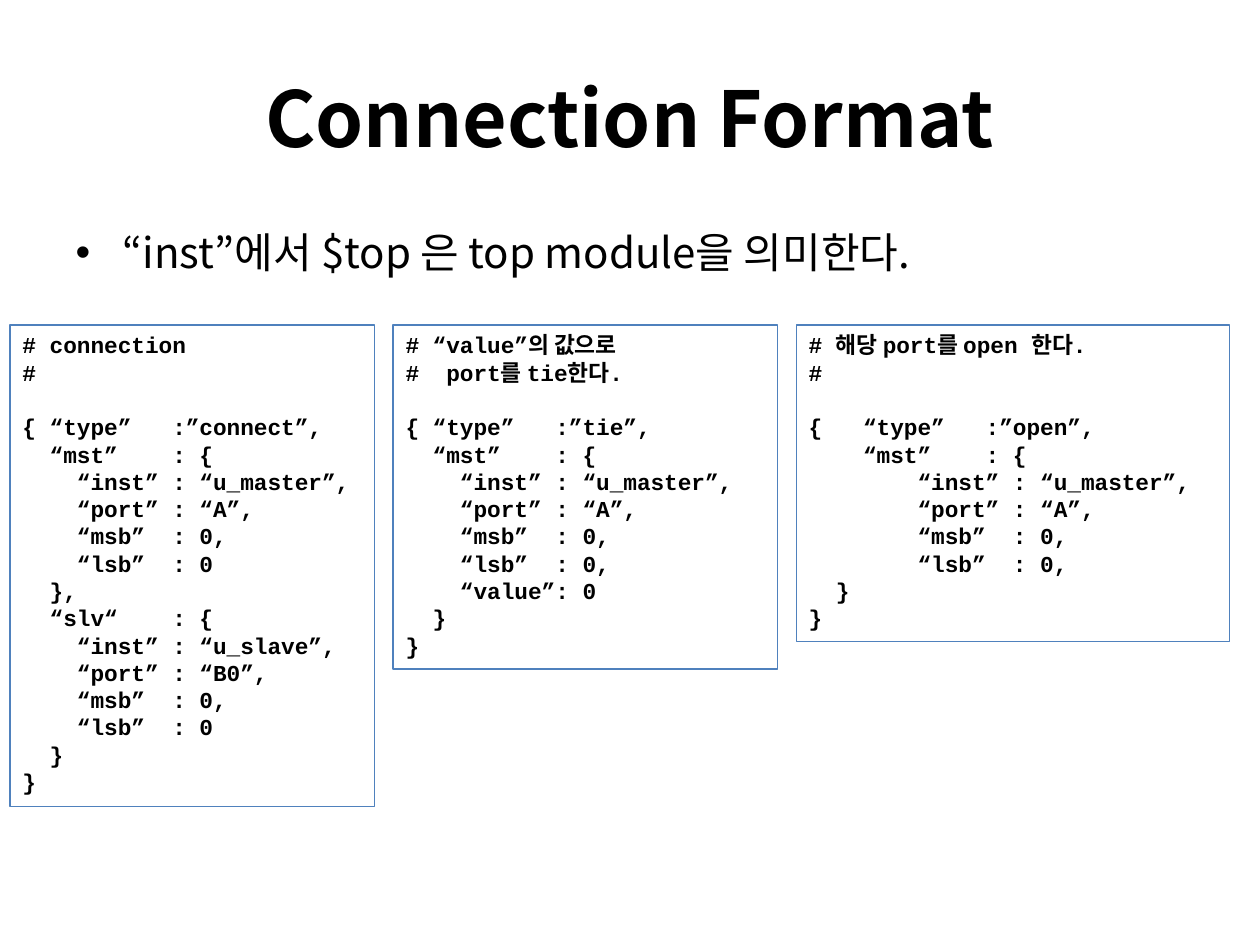
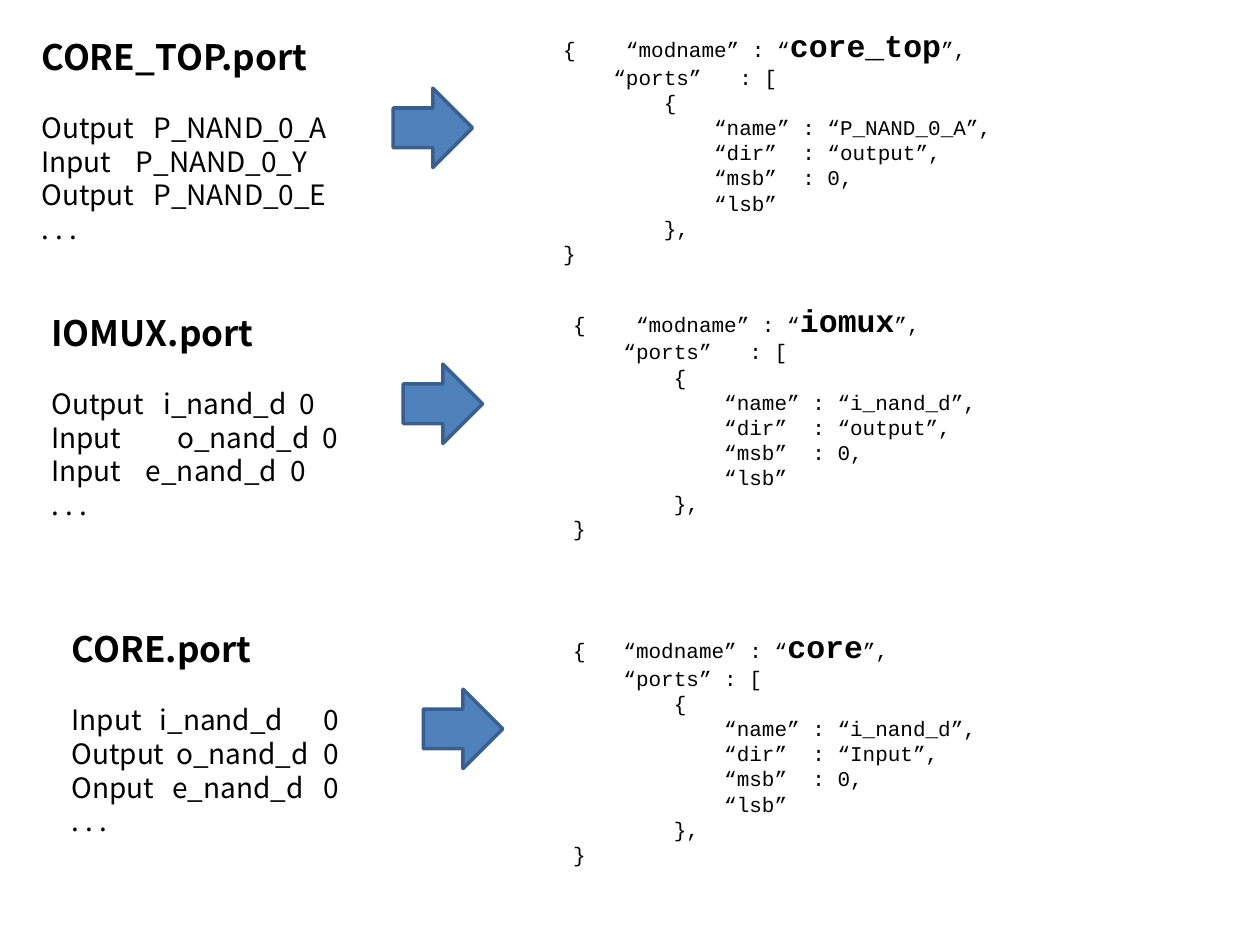
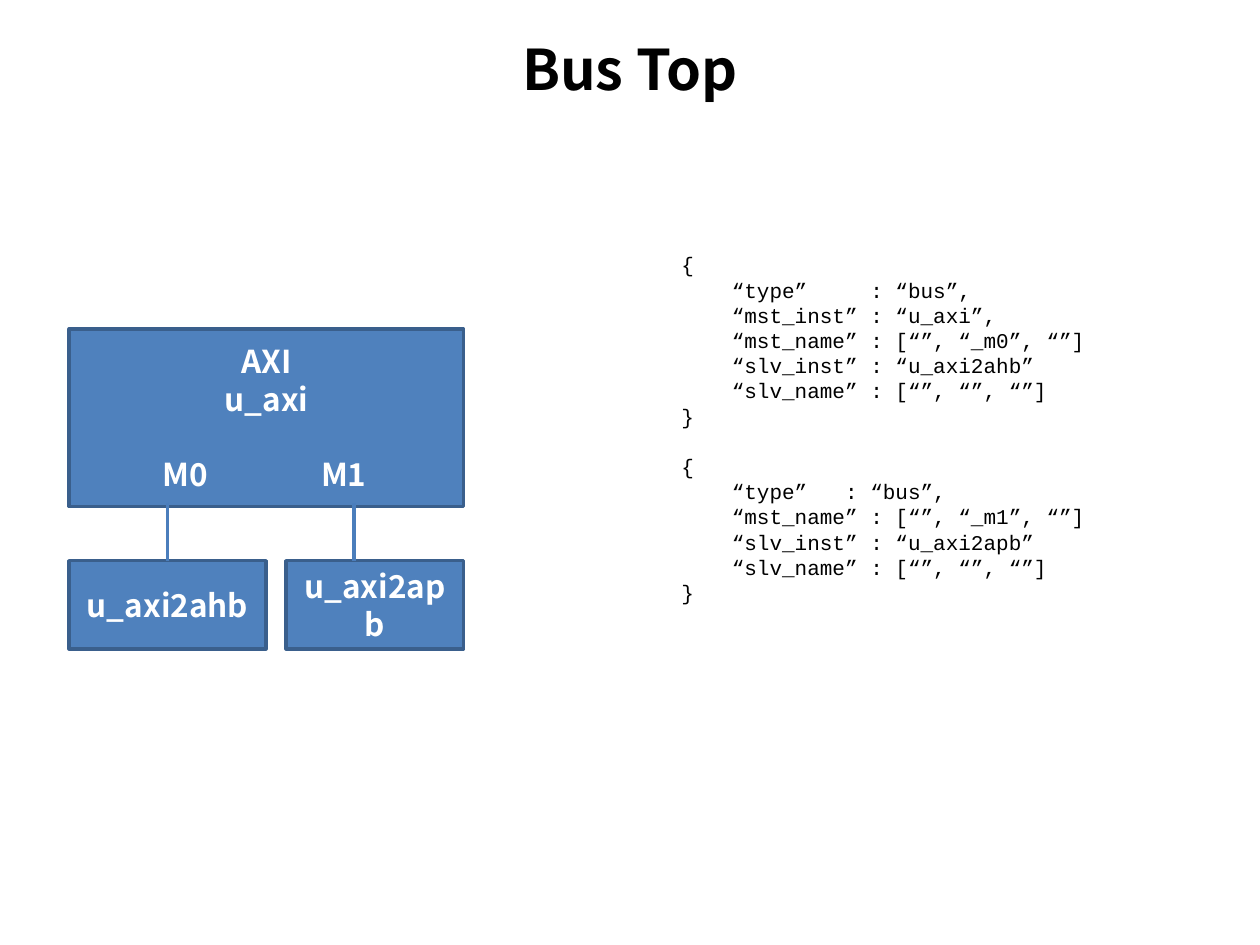
import pptx
import pptx.dml.color
import pptx.enum.shapes
import pptx.enum.text
import pptx.oxml.ns
import pptx.util
from lxml import etree

Inches = pptx.util.Inches
Pt = pptx.util.Pt
RGBColor = pptx.dml.color.RGBColor
Shape = pptx.enum.shapes.MSO_SHAPE
Align = pptx.enum.text.PP_ALIGN
Anchor = pptx.enum.text.MSO_ANCHOR
AutoSize = pptx.enum.text.MSO_AUTO_SIZE
qn = pptx.oxml.ns.qn

BLACK = RGBColor(0x00, 0x00, 0x00)
WHITE = RGBColor(0xFF, 0xFF, 0xFF)
BLUE = RGBColor(0x4F, 0x81, 0xBD)
DARK_BLUE = RGBColor(0x3A, 0x5F, 0x8C)
WIRE_BLUE = RGBColor(0x4B, 0x7E, 0xBC)

SANS = "Noto Sans CJK KR"
MONO = "Courier New"
LINE_HEIGHT = 1.2

CONNECT_CODE = """# connection
#

{ “type”   :”connect”,
  “mst”    : {
    “inst” : “u_master”,
    “port” : “A”,
    “msb”  : 0,
    “lsb”  : 0
  },
  “slv“    : {
    “inst” : “u_slave”,
    “port” : “B0”,
    “msb”  : 0,
    “lsb”  : 0
  }
}"""

TIE_CODE = """# “value”의 값으로
#  port를 tie한다.

{ “type”   :”tie”,
  “mst”    : {
    “inst” : “u_master”,
    “port” : “A”,
    “msb”  : 0,
    “lsb”  : 0,
    “value”: 0
  }
}"""

OPEN_CODE = """# 해당 port를 open 한다.
#

{   “type”   :”open”,
    “mst”    : {
        “inst” : “u_master”,
        “port” : “A”,
        “msb”  : 0,
        “lsb”  : 0,
  }
}"""

BUS_CODE = """{
    “type”     : “bus”,
    “mst_inst” : “u_axi”,
    “mst_name” : [“”, “_m0”, “”]
    “slv_inst” : “u_axi2ahb”
    “slv_name” : [“”, “”, “”]
}

{
    “type”   : “bus”,
    “mst_name” : [“”, “_m1”, “”]
    “slv_inst” : “u_axi2apb”
    “slv_name” : [“”, “”, “”]
}"""


def style(paragraph, font_name, size, color=BLACK, bold=False, align=None):
    font = paragraph.font
    font.name, font.size, font.bold = font_name, Pt(size), bold
    font.color.rgb = color
    defaults = paragraph._p.pPr.find(qn("a:defRPr"))
    defaults.find(qn("a:latin")).addnext(
        etree.Element(qn("a:ea"), typeface=SANS))
    paragraph.line_spacing = Pt(size * LINE_HEIGHT)
    if align is not None:
        paragraph.alignment = align


def set_tabs(paragraph, stops, align="l"):
    tab_list = etree.SubElement(paragraph._p.get_or_add_pPr(), qn("a:tabLst"))
    for stop in stops:
        etree.SubElement(tab_list, qn("a:tab"), pos=str(Inches(stop)), algn=align)


def next_paragraph(frame):
    first = frame.paragraphs[0]
    return frame.add_paragraph() if first.runs else first


def add_run(paragraph, text):
    run = paragraph.add_run()
    run.text = text
    return run


def add_code(frame, code, size, bold=False):
    gap = 0
    for line in code.split("\n"):
        if not line:
            gap = size * LINE_HEIGHT
            continue
        paragraph = next_paragraph(frame)
        add_run(paragraph, line)
        style(paragraph, MONO, size, bold=bold)
        if gap:
            paragraph.space_before = Pt(gap)
            gap = 0


def text_area(shapes, left, top, width, height):
    frame = shapes.add_textbox(
        Inches(left), Inches(top), Inches(width), Inches(height)).text_frame
    frame.word_wrap = True
    frame.auto_size = AutoSize.SHAPE_TO_FIT_TEXT
    return frame


def filled_shape(shapes, preset, left, top, width, height):
    shape = shapes.add_shape(
        preset, Inches(left), Inches(top), Inches(width), Inches(height))
    shape.shadow.inherit = False
    shape.fill.solid()
    shape.fill.fore_color.rgb = BLUE
    shape.line.color.rgb = DARK_BLUE
    shape.line.width = Pt(2)
    return shape


def place_title(slide, text, size, height):
    title = slide.shapes.title
    title.left, title.top = Inches(0.5), Inches(0.3)
    title.width, title.height = Inches(9), Inches(height)
    frame = title.text_frame
    frame.text = text
    frame.auto_size = AutoSize.NONE
    frame.vertical_anchor = Anchor.MIDDLE
    style(frame.paragraphs[0], SANS, size, bold=True, align=Align.CENTER)


def code_panel(slide, left, top, width, height, code):
    panel = slide.shapes.add_shape(
        Shape.RECTANGLE, Inches(left), Inches(top), Inches(width), Inches(height))
    panel.shadow.inherit = False
    panel.fill.background()
    panel.line.color.rgb = BLUE
    panel.line.width = Pt(0.75)
    frame = panel.text_frame
    frame.word_wrap = True
    frame.auto_size = AutoSize.SHAPE_TO_FIT_TEXT
    frame.vertical_anchor = Anchor.TOP
    add_code(frame, code, 13, bold=True)
    for paragraph in frame.paragraphs:
        paragraph.alignment = Align.LEFT


def port_list(shapes, left, top, width, file_name, ports):
    frame = text_area(shapes, left, top, width, 1.78)
    heading = frame.paragraphs[0]
    add_run(heading, file_name)
    style(heading, SANS, 20, bold=True)
    for index, (text, stops) in enumerate(ports + [(". . .", [])]):
        row = next_paragraph(frame)
        if stops:
            set_tabs(row, stops)
        add_run(row, text)
        style(row, SANS, 16)
        if index == 0:
            row.space_before = Pt(16 * LINE_HEIGHT)


def module_code(shapes, left, top, opening, module, ports_line, port, direction):
    frame = text_area(shapes, left, top, 5.39, 2.02)
    header = frame.paragraphs[0]
    add_run(header, opening + "“modname” : “")
    name = add_run(header, module)
    add_run(header, "”,")
    style(header, MONO, 12)
    header.line_spacing = Pt(18 * LINE_HEIGHT)
    name.font.size, name.font.bold = Pt(18), True
    add_code(frame, f"""    {ports_line}
        {{
            “name” : “{port}”,
            “dir”  : “{direction}”,
            “msb”  : 0,
            “lsb”
        }},
}}""", 12)


def port_section(slide, left, top, list_width, arrow_drop, code_offset,
                 file_name, ports, code):
    shapes = slide.shapes.add_group_shape().shapes
    port_list(shapes, left, top, list_width, file_name, ports)
    filled_shape(shapes, Shape.RIGHT_ARROW, left + 2.89, top + arrow_drop, 0.63, 0.63)
    module_code(shapes, left + code_offset[0], top + code_offset[1], *code)


def block(slide, left, top, width, height, lines):
    frame = filled_shape(
        slide.shapes, Shape.RECTANGLE, left, top, width, height).text_frame
    frame.word_wrap = True
    frame.vertical_anchor = Anchor.MIDDLE
    for line in lines:
        paragraph = next_paragraph(frame)
        add_run(paragraph, line)
        style(paragraph, SANS, 18, WHITE, True, Align.CENTER)
    return frame


def wire(slide, x, top, bottom):
    line = slide.shapes.add_connector(
        pptx.enum.shapes.MSO_CONNECTOR.STRAIGHT,
        Inches(x), Inches(top), Inches(x), Inches(bottom))
    line.line.color.rgb = WIRE_BLUE
    line.line.width = Pt(2)
    etree.SubElement(line._element.spPr, qn("a:effectLst"))


def bus_diagram(slide, left, top):
    width, gap, bridge_height = 3.13, 0.16, 0.7
    bridge_top = top + 1.84
    master = block(slide, left, top, width, 1.41, ["AXI", "u_axi"])
    master_ports = master.add_paragraph()
    set_tabs(master_ports, [0.82, 2.08], "ctr")
    add_run(master_ports, "\tM0\tM1")
    style(master_ports, SANS, 18, WHITE, True, Align.LEFT)
    master_ports.space_before = Pt(18 * LINE_HEIGHT)
    ahb_width = 1.56
    block(slide, left, bridge_top, ahb_width, bridge_height, ["u_axi2ahb"])
    block(slide, left + ahb_width + gap, bridge_top,
          width - ahb_width - gap, bridge_height, ["u_axi2apb"])
    for offset in (0.78, 2.26):
        wire(slide, left + offset, top + 1.38, bridge_top)


def connection_slide(deck):
    slide = deck.slides.add_slide(deck.slide_layouts[1])
    place_title(slide, "Connection Format", 44, 1.25)
    note = slide.placeholders[1]
    note.left, note.top = Inches(0.5), Inches(1.75)
    note.width, note.height = Inches(9), Inches(0.52)
    note.text_frame.text = "“inst”에서 $top 은 top module을 의미한다."
    note.text_frame.auto_size = AutoSize.NONE
    style(note.text_frame.paragraphs[0], SANS, 24)
    left, gap = 0.08, 0.15
    for width, height, code in ((2.89, 3.82, CONNECT_CODE),
                                (3.05, 2.73, TIE_CODE),
                                (3.44, 2.51, OPEN_CODE)):
        code_panel(slide, left, 2.58, width, height, code)
        left += width + gap


def ports_slide(deck):
    slide = deck.slides.add_slide(deck.slide_layouts[6])
    port_section(
        slide, 0.31, 2.42, 2.58, 0.47, (4.14, -0.08), "IOMUX.port",
        [("Output\ti_nand_d\t0", [0.89, 1.97]),
         ("Input\to_nand_d\t0", [1, 2.15]),
         ("Input\te_nand_d\t0", [0.75, 1.9])],
        ("{    ", "iomux", "“ports”   : [", "i_nand_d", "output"))
    port_section(
        slide, 0.47, 4.93, 2.34, 0.54, (3.98, 0), "CORE.port",
        [("Input\ti_nand_d\t0", [0.7, 2]),
         ("Output\to_nand_d\t0", [0.83, 2]),
         ("Onput\te_nand_d\t0", [0.8, 2])],
        ("{   ", "core", "“ports” : [", "i_nand_d", "Input"))
    port_section(
        slide, 0.23, 0.23, 2.58, 0.47, (4.14, -0.07), "CORE_TOP.port",
        [("Output\tP_NAND_0_A", [0.89]),
         ("Input\tP_NAND_0_Y", [0.75]),
         ("Output\tP_NAND_0_E", [0.89])],
        ("{    ", "core_top", "“ports”   : [", "P_NAND_0_A", "output"))


def bus_slide(deck):
    slide = deck.slides.add_slide(deck.slide_layouts[5])
    place_title(slide, "Bus Top", 32, 0.48)
    bus_diagram(slide, 0.55, 2.61)
    add_code(text_area(slide.shapes, 5.31, 1.95, 4.06, 2.93), BUS_CODE, 12)


deck = pptx.Presentation()
deck.slide_width, deck.slide_height = Inches(10), Inches(7.5)
connection_slide(deck)
ports_slide(deck)
bus_slide(deck)
deck.save("out.pptx")
